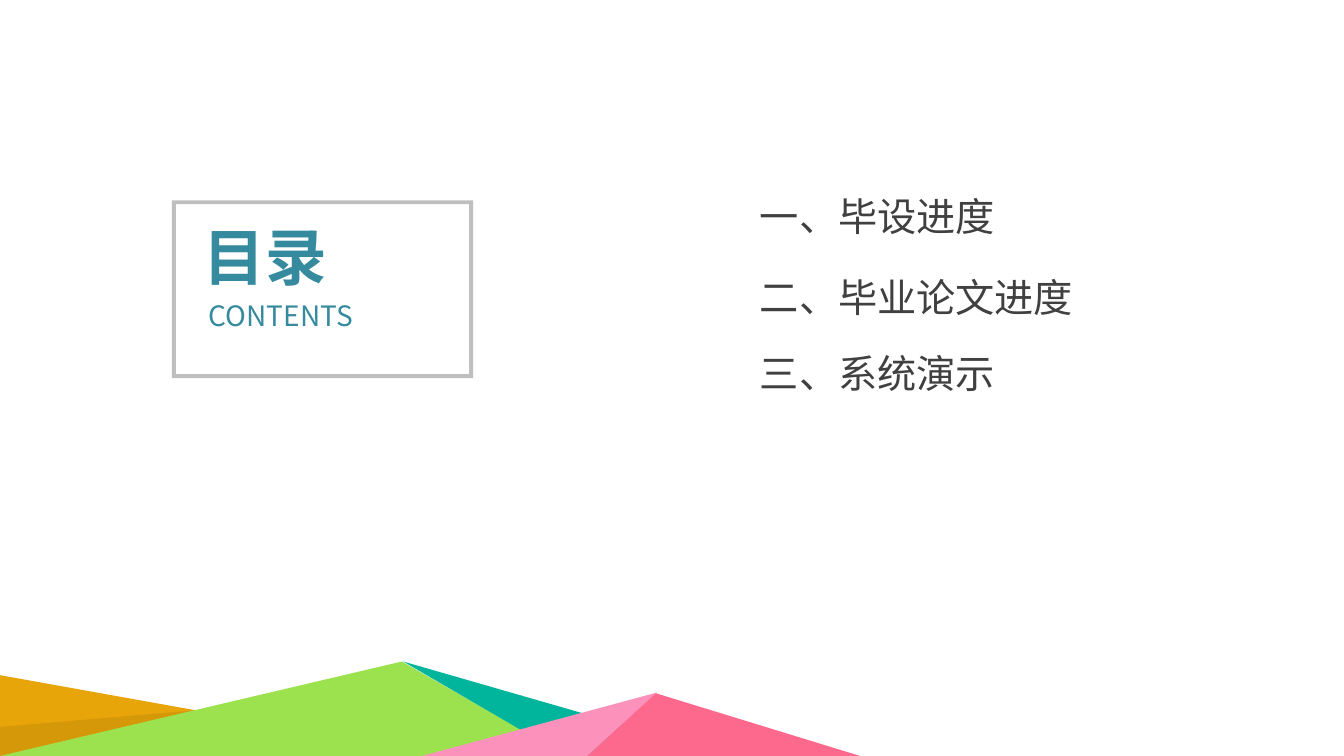
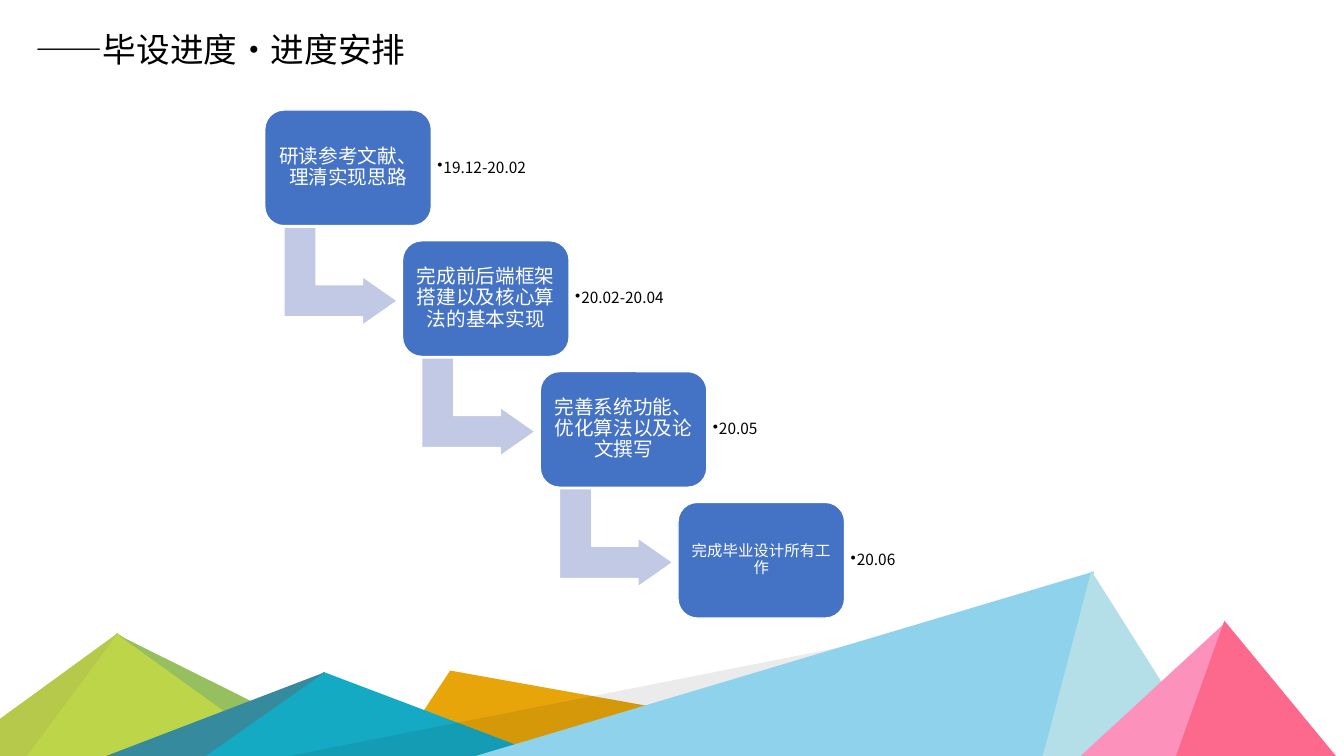
import lxml.etree
import pptx
import pptx.dml.color
import pptx.enum.shapes
import pptx.enum.text
import pptx.oxml.ns
import pptx.util

FONT = "Noto Sans CJK SC"
TEAL, AMBER, PINK, ROSE = "358A9E", "E8A50A", "FC92BC", "FD698D"
BLACK, WHITE, CHARCOAL, SILVER = "000000", "FFFFFF", "404040", "BFBFBF"
STEP_BLUE, ARROW_BLUE = "4472C4", "C1C9E4"
LEFT = pptx.enum.text.PP_ALIGN.LEFT
CENTER = pptx.enum.text.PP_ALIGN.CENTER
PRESET = pptx.enum.shapes.MSO_SHAPE

presentation = pptx.Presentation()
presentation.slide_width = pptx.util.Inches(13.33)
presentation.slide_height = pptx.util.Inches(7.5)
column = presentation.slide_width / 100
row = presentation.slide_height / 100


def paint(color_format, color):
    color_format.rgb = pptx.dml.color.RGBColor.from_string(color)


def write(shape, text, size, color, align=LEFT, bold=False, wrap=True, margins=(0.1, 0.05)):
    frame = shape.text_frame
    frame.word_wrap = wrap
    frame.auto_size = pptx.enum.text.MSO_AUTO_SIZE.NONE
    frame.vertical_anchor = pptx.enum.text.MSO_ANCHOR.MIDDLE
    frame.margin_left = frame.margin_right = pptx.util.Inches(margins[0])
    frame.margin_top = frame.margin_bottom = pptx.util.Inches(margins[1])
    paragraph = frame.paragraphs[0]
    paragraph.alignment = align
    run = paragraph.add_run()
    run.text = text
    run.font.size = pptx.util.Pt(size)
    run.font.bold = bold
    paint(run.font.fill.solid() or run.font.color, color)
    run.font.name = FONT
    east_asian = lxml.etree.SubElement(run._r.get_or_add_rPr(), pptx.oxml.ns.qn("a:ea"))
    east_asian.set("typeface", FONT)
    return paragraph


pages = [
    {
        "title": ("目录", 44, TEAL, True),
        "title_box": (14.4, 28, 12, 11.8),
        "peaks": [
            (AMBER, -6.2, -1.9, 88.7, 33.5),
            (BLACK, -25.4, 28.1, 91.9, 23.6),
            ("9CE24E", 0, 29.9, 87.5, 42.2),
            ("00B59B", 42.1, 30, 87.5, 54.4),
            (PINK, 31.4, 48.9, 91.6, 43.7),
            (ROSE, 43.7, 48.8, 91.7, 64),
        ],
    },
    {
        "title": ("——毕设进度·进度安排", 24, BLACK, False),
        "title_box": (1.9, 3.1, 34, 6.7),
        "peaks": [
            (AMBER, 29.3, 33.5, 88.7, 69),
            ("BDD549", 1.9, 8.7, 83.7, 21.3),
            ("96BF5F", 21.3, 8.8, 84, 26.9),
            ("B6C94B", -3.8, 8.8, 83.7, 2),
            ("15AAC4", 15.2, 24.1, 88.9, 40.6),
            (TEAL, 7.9, 24.2, 88.9, 15.3),
            (BLACK, 21.5, 76, 80.9, 72.2),
            ("8FD2EC", 35.4, 81.4, 75.6, 77.6),
            ("B5DFE8", 77.6, 81.2, 75.5, 89.9),
            (PINK, 80.4, 91.2, 82.3, 87.6),
            (ROSE, 87.5, 91.1, 82.1, 99.4),
        ],
    },
]

slides = []
for page in pages:
    slide = presentation.slides.add_slide(presentation.slide_layouts[5])
    slides.append(slide)
    for color, left, peak, top, right in page["peaks"]:
        builder = slide.shapes.build_freeform(int(left * column), int(100 * row))
        builder.add_line_segments([
            (int(peak * column), int(top * row)),
            (int(right * column), int(100 * row)),
        ])
        mountain = builder.convert_to_shape()
        mountain.shadow.inherit = False
        mountain.line.fill.background()
        mountain.fill.solid()
        paint(mountain.fill.fore_color, color)
        if color == BLACK:
            tint = mountain._element.spPr.find(".//" + pptx.oxml.ns.qn("a:srgbClr"))
            lxml.etree.SubElement(tint, pptx.oxml.ns.qn("a:alpha")).set("val", "8000")
    title = slide.shapes.title
    left, top, width, height = page["title_box"]
    title.left, title.width = int(left * column), int(width * column)
    title.top, title.height = int(top * row), int(height * row)
    text, size, color, bold = page["title"]
    write(title, text, size, color, bold=bold)

contents_slide, schedule_slide = slides

border = contents_slide.shapes.add_shape(
    PRESET.FRAME, int(12.8 * column), int(26.5 * row), int(22.4 * column), int(23.5 * row))
border.adjustments[0] = 0.022
border.shadow.inherit = False
border.line.fill.background()
border.fill.solid()
paint(border.fill.fore_color, SILVER)

subtitle = contents_slide.shapes.add_textbox(
    int(14.7 * column), int(38.7 * row), int(12.4 * column), int(5.9 * row))
write(subtitle, "CONTENTS", 20, TEAL, CENTER, wrap=False)

for text, top in [("一、毕设进度", 24.7), ("二、毕业论文进度", 35.5), ("三、系统演示", 45.5)]:
    entry = contents_slide.shapes.add_textbox(
        int(55.8 * column), int(top * row), int(37.7 * column), int(7.6 * row))
    write(entry, text, 28, CHARCOAL)

steps = [
    ("研读参考文献、理清实现思路", 14, "19.12-20.02"),
    ("完成前后端框架搭建以及核心算法的基本实现", 14, "20.02-20.04"),
    ("完善系统功能、优化算法以及论文撰写", 14, "20.05"),
    ("完成毕业设计所有工作", 11, "20.06"),
]
box_width, box_height = 12.4, 15.3

for index, (task, size, period) in enumerate(steps):
    left = 19.7 + 10.25 * index
    top = 14.55 + 17.3 * index
    parts = [(PRESET.ROUNDED_RECTANGLE, left, top, box_width, box_height, STEP_BLUE)]
    if index < len(steps) - 1:
        parts.insert(0, (PRESET.BENT_UP_ARROW, left + 2, top + 14.5, 7.3, 15, ARROW_BLUE))
    for preset, part_left, part_top, width, height, color in parts:
        shape = schedule_slide.shapes.add_shape(
            preset, int(part_left * column), int(part_top * row),
            int(width * column), int(height * row))
        shape.shadow.inherit = False
        shape.fill.solid()
        paint(shape.fill.fore_color, color)
        shape.line.width = pptx.util.Pt(1)
        shape.line.fill.solid()
        paint(shape.line.color, WHITE)
        if preset == PRESET.BENT_UP_ARROW:
            shape.rotation = 90
            for position, value in enumerate((0.328, 0.25, 0.358)):
                shape.adjustments[position] = value
        else:
            paragraph = write(shape, task, size, WHITE, CENTER, margins=(0.06, 0.06))
            paragraph.line_spacing = 0.9

    caption = schedule_slide.shapes.add_textbox(
        int((left + box_width) * column), int((top + 1.5) * row),
        int(9 * column), int(12.4 * row))
    paragraph = write(caption, period, 11, BLACK, margins=(0.06, 0.06))
    paragraph.line_spacing = 0.9
    properties = paragraph._p.get_or_add_pPr()
    properties.set("marL", str(pptx.util.Inches(0.06)))
    properties.set("indent", str(pptx.util.Inches(-0.06)))
    lxml.etree.SubElement(properties, pptx.oxml.ns.qn("a:buChar")).set("char", "•")

presentation.save("out.pptx")
